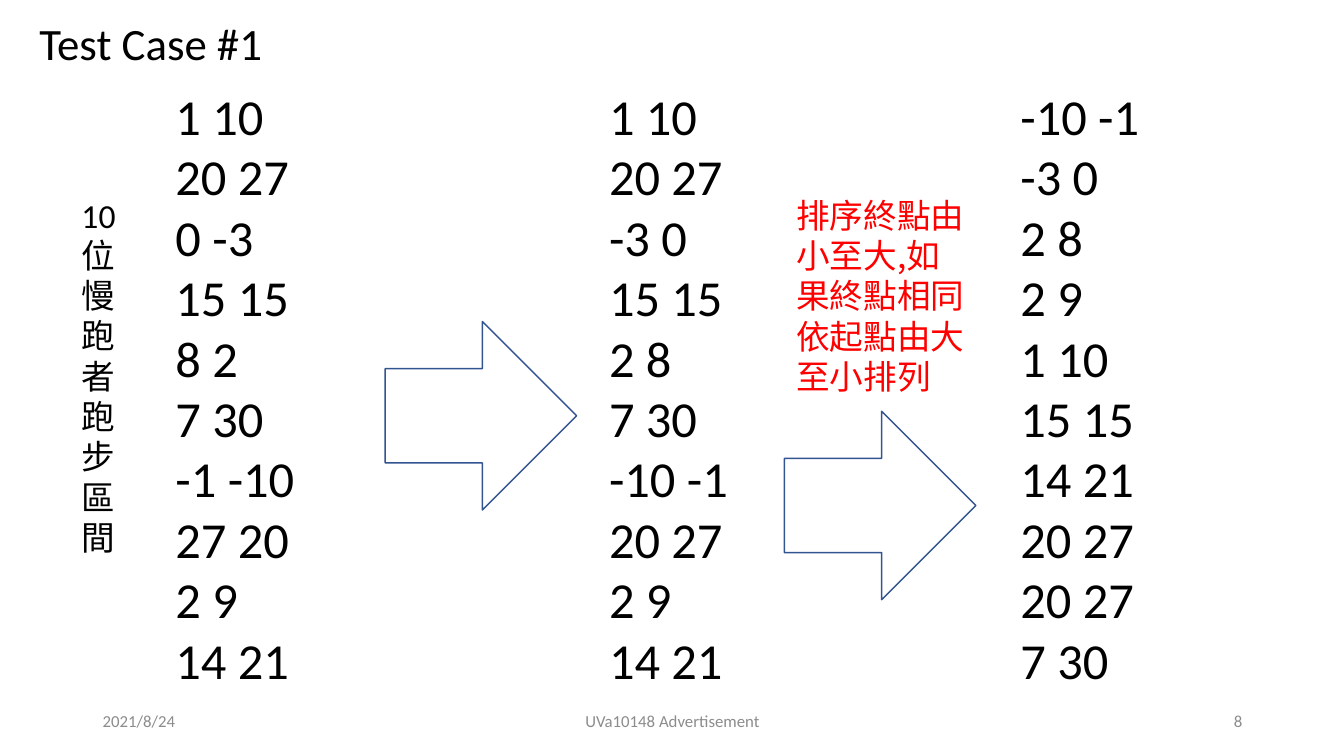
from dataclasses import dataclass
from lxml.etree import SubElement
from pptx import Presentation
from pptx.dml.color import RGBColor as RGB
from pptx.enum.shapes import MSO_SHAPE as Shape
from pptx.enum.text import MSO_ANCHOR as Anchor, MSO_AUTO_SIZE as Fit, PP_ALIGN as Align
from pptx.oxml.ns import qn
from pptx.util import Inches, Pt


@dataclass(frozen=True)
class Theme:
    latin: str = "Calibri"
    asian: str = "Noto Sans CJK SC"
    black: RGB = RGB(0, 0, 0)
    red: RGB = RGB(255, 0, 0)
    gray: RGB = RGB(0x8C, 0x8C, 0x8C)
    edge: RGB = RGB(0x32, 0x54, 0x91)
    title: int = 32
    list: int = 36
    note: int = 24
    foot: int = 12


theme = Theme()


def write(box, area, lines, size, color=theme.black, align=Align.LEFT,
          anchor=Anchor.TOP, face=theme.latin):
    box.left, box.top, box.width, box.height = [Inches(n) for n in area]
    frame = box.text_frame
    frame.word_wrap = True
    frame.auto_size = Fit.NONE
    frame.vertical_anchor = anchor
    frame.margin_left = frame.margin_right = Inches(0.1)
    frame.margin_top = frame.margin_bottom = Inches(0.05)
    frame.text = "\n".join(lines)
    for para in frame.paragraphs:
        para.alignment = align
        para.line_spacing = 1.0
        para.space_before = para.space_after = Pt(0)
        props = para._p.get_or_add_pPr()
        props.set("marL", "0")
        props.set("indent", "0")
        SubElement(props, qn("a:buNone"))
        font = para.font
        font.name, font.size, font.bold = face, Pt(size), False
        font.color.rgb = color
        for run in para.runs:
            SubElement(run._r.get_or_add_rPr(), qn("a:ea"), typeface=theme.asian)


deck = Presentation()
deck.slide_width, deck.slide_height = Inches(13.33), Inches(7.5)
slide = deck.slides.add_slide(deck.slide_layouts.get_by_name("Comparison"))
shapes = slide.shapes

write(shapes.title, (0.29, 0.11, 2.7, 0.64), ["Test Case #1"], theme.title)

columns = [
    (1.64, ["1 10", "20 27", "0 -3", "15 15", "8 2",
            "7 30", "-1 -10", "27 20", "2 9", "14 21"]),
    (5.94, ["1 10", "20 27", "-3 0", "15 15", "2 8",
            "7 30", "-10 -1", "20 27", "2 9", "14 21"]),
    (10.02, ["-10 -1", "-3 0", "2 8", "2 9", "1 10",
             "15 15", "14 21", "20 27", "20 27", "7 30"]),
]
*bodies, spare = list(slide.placeholders)[1:]
for body, (left, pairs) in zip(bodies, columns):
    write(body, (left, 0.79, 1.73, 6.16), pairs, theme.list)
spare.element.getparent().remove(spare.element)

for left, top in [(3.82, 3.19), (7.78, 4.08)]:
    arrow = shapes.add_shape(Shape.RIGHT_ARROW, Inches(left), Inches(top),
                             Inches(1.9), Inches(1.87))
    arrow.shadow.inherit = False
    arrow.fill.background()
    arrow.line.color.rgb = theme.edge
    arrow.line.width = Pt(1)

label = shapes.add_textbox(0, 0, 0, 0)
write(label, (0.71, 1.88, 0.58, 3.74), ["10位慢跑者跑步區間"], theme.note)
rule = shapes.add_textbox(0, 0, 0, 0)
write(rule, (7.8, 1.88, 1.95, 2.12), ["排序終點由小至大,如果終點相同依起點由大至小排列"],
      theme.note, theme.red, face=theme.asian)

for left, width, text, align in [
    (0.92, 3, "2021/8/24", Align.LEFT),
    (4.42, 4.5, "UVa10148 Advertisement", Align.CENTER),
    (9.42, 3, "8", Align.RIGHT),
]:
    foot = shapes.add_textbox(0, 0, 0, 0)
    write(foot, (left, 6.95, width, 0.4), [text], theme.foot, theme.gray,
          align, Anchor.MIDDLE)

deck.save("out.pptx")
